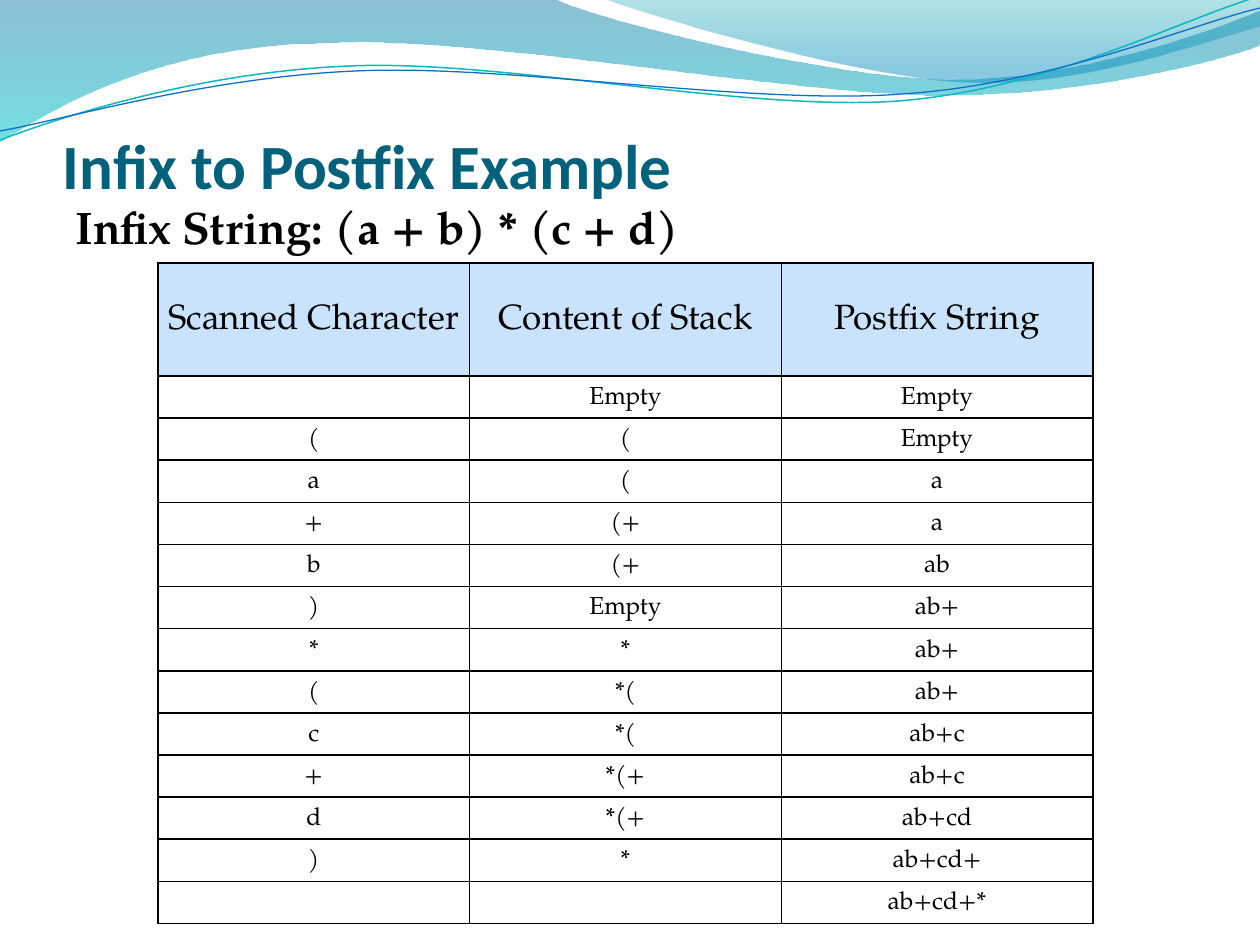
from lxml.etree import SubElement
from pptx import Presentation
from pptx.dml.color import RGBColor
from pptx.enum.text import MSO_ANCHOR as ANCHOR, PP_ALIGN as ALIGN
from pptx.oxml.ns import qn
from pptx.util import Emu, Pt

PX = 914400 / 126
SERIF = "TeX Gyre Pagella"

WAVES = [
    ([(0, 0), (554, -1), (600, 21, 837, 79, 955, 79),
      (1075, 79, 1207, 33, 1260, 11), (1261, 45),
      (1239, 55, 1096, 96, 940, 95), (784, 95, 481, 35, 324, 43),
      (163, 45, 58, 105, -1, 142)],
     [(0, "0074A1", 45), (1, "00C6CF", 55)]),
    ([(604, -1), (641, 14, 859, 78, 969, 82),
      (1079, 87, 1211, 40, 1260, 26), (1260, 0)],
     [(0, "00A1A9", 30), (0.8, "008BBF", 45)]),
]
CURVES = [
    ([(0, 140), (60, 117, 199, 72, 349, 66), (498, 59, 747, 112, 898, 101),
      (1050, 89, 1182, 19, 1257, -3)], "0AB8BF", 0.85),
    ([(0, 131), (59, 121, 207, 77, 357, 71), (508, 64, 752, 106, 903, 94),
      (1053, 84, 1186, 26, 1260, 8)], "0F6FC6", 0.75),
]
TEXTS = [
    ("Infix to Postfix Example", (63, 105, 1134, 97),
     dict(vertical_anchor=ANCHOR.BOTTOM, margin_left=0, margin_right=0, margin_bottom=0),
     dict(name="Calibri", size=Pt(36), bold=True), "04617B"),
    ("Infix String: (a + b) * (c + d)", (63, 193, 1134, 605),
     dict(vertical_anchor=ANCHOR.TOP),
     dict(name=SERIF, size=Pt(26), bold=True), "000000"),
]
ROWS = [
    ("Scanned Character", "Content of Stack", "Postfix String"),
    ("", "Empty", "Empty"),
    ("(", "(", "Empty"),
    ("a", "(", "a"),
    ("+", "(+", "a"),
    ("b", "(+", "ab"),
    (")", "Empty", "ab+"),
    ("*", "*", "ab+"),
    ("(", "*(", "ab+"),
    ("c", "*(", "ab+c"),
    ("+", "*(+", "ab+c"),
    ("d", "*(+", "ab+cd"),
    (")", "*", "ab+cd+"),
    ("", "", "ab+cd+*"),
]
TABLE_BOX = (158, 263, 935, 661)
HEADER_H = 113


def emu(*lengths):
    return [Emu(round(n * PX)) for n in lengths]


def rgb(color):
    return RGBColor.from_string(color)


def set_all(obj, values):
    for name, value in values.items():
        setattr(obj, name, value)


def add_free(steps, close):
    ends = [step[-2:] for step in steps]
    left, top = map(min, zip(*ends))
    fb = slide.shapes.build_freeform(*ends[0], scale=PX)
    fb.add_line_segments(ends[1:], close=close)
    s = fb.convert_to_shape()
    s.shadow.inherit = False
    for seg, step in zip(list(s._element.iter(qn("a:lnTo"))), steps[1:]):
        if len(step) == 6:
            seg.tag = qn("a:cubicBezTo")
            for i in (0, 1):
                x, y = step[2 * i:2 * i + 2]
                pt = seg.makeelement(qn("a:pt"), {"x": str(x - left), "y": str(y - top)})
                seg.insert(i, pt)
    return s


def add_wave(steps, stops):
    s = add_free(steps, True)
    s.line.fill.background()
    s.fill.gradient()
    s.fill.gradient_angle = 270
    for stop, (position, color, _) in zip(s.fill.gradient_stops, stops):
        stop.position = position
        stop.color.rgb = rgb(color)
    for clr, (_, _, alpha) in zip(s._element.spPr.iter(qn("a:srgbClr")), stops):
        SubElement(clr, qn("a:alpha")).set("val", str(alpha * 1000))


def add_curve(steps, color, width):
    s = add_free(steps, False)
    s.fill.background()
    s.line.color.rgb = rgb(color)
    s.line.width = Pt(width)


def write(p, text, font, color):
    r = p.add_run()
    r.text = text
    set_all(r.font, font)
    r.font.color.rgb = rgb(color)


def add_text(text, box, frame, font, color):
    tf = slide.shapes.add_textbox(*emu(*box)).text_frame
    set_all(tf, dict(word_wrap=True, **frame))
    write(tf.paragraphs[0], text, font, color)


def add_borders(cell):
    tcPr = cell._tc.get_or_add_tcPr()
    for i, side in enumerate(("lnL", "lnR", "lnT", "lnB")):
        ln = tcPr.makeelement(qn("a:" + side), {"w": str(Pt(1))})
        fill = SubElement(ln, qn("a:solidFill"))
        SubElement(fill, qn("a:srgbClr")).set("val", "000000")
        tcPr.insert(i, ln)


def fill_cell(cell, text, header):
    margin = Pt(1.5)
    set_all(cell, dict(vertical_anchor=ANCHOR.MIDDLE, margin_left=margin,
                       margin_right=margin, margin_top=margin, margin_bottom=margin))
    if header:
        cell.fill.solid()
        cell.fill.fore_color.rgb = rgb("C8E3FB")
    else:
        cell.fill.background()
    add_borders(cell)
    p = cell.text_frame.paragraphs[0]
    set_all(p, dict(alignment=ALIGN.CENTER, line_spacing=1.15))
    size = Pt(20 if header else 14)
    if text:
        write(p, text, dict(name=SERIF, size=size), "000000")
    else:
        SubElement(p._p, qn("a:endParaRPr")).set("sz", "1400")


def add_grid(rows, box):
    table = slide.shapes.add_table(len(rows), len(rows[0]), *emu(*box)).table
    row_h = (box[3] - HEADER_H) / (len(rows) - 1)
    for i, row in enumerate(rows):
        table.rows[i].height = emu(row_h if i else HEADER_H)[0]
        for j, text in enumerate(row):
            fill_cell(table.cell(i, j), text, i == 0)


prs = Presentation()
prs.slide_width, prs.slide_height = emu(1260, 945)
slide = prs.slides.add_slide(prs.slide_layouts[6])
for wave in WAVES:
    add_wave(*wave)
for curve in CURVES:
    add_curve(*curve)
for item in TEXTS:
    add_text(*item)
add_grid(ROWS, TABLE_BOX)
prs.save("out.pptx")
